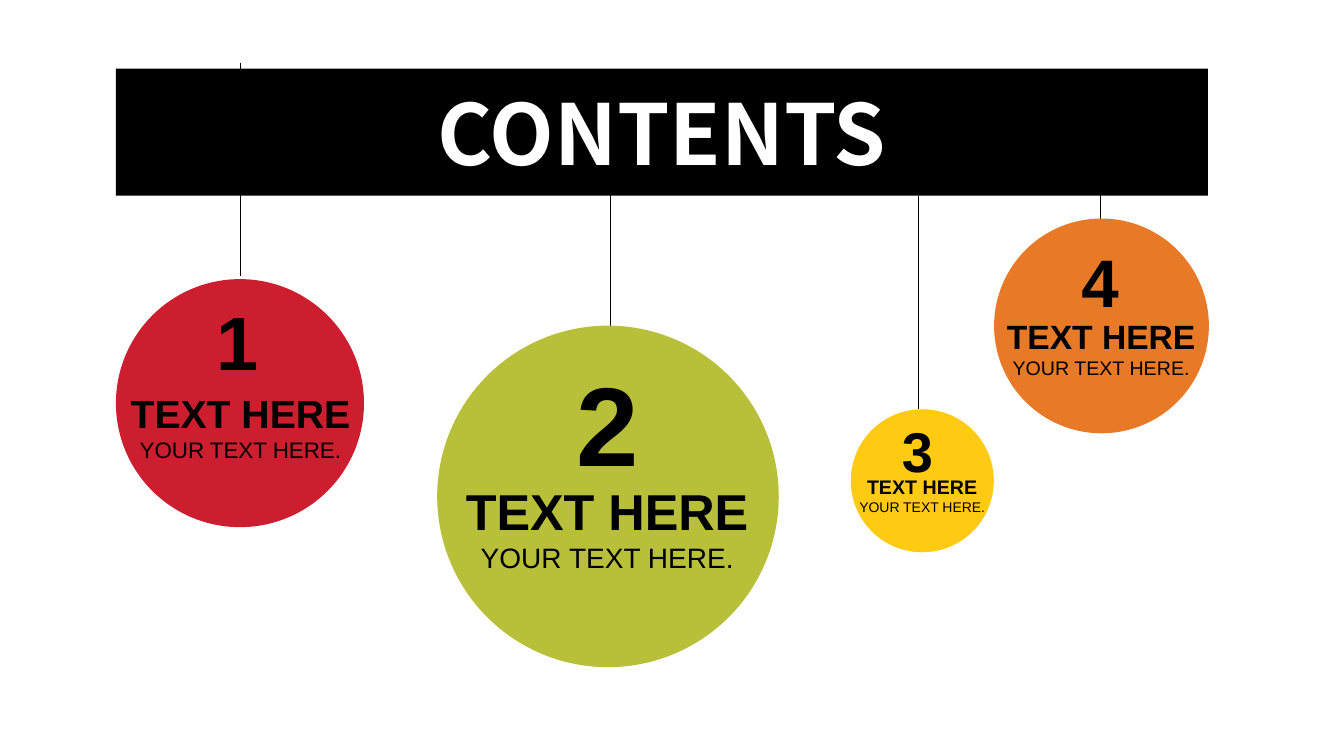
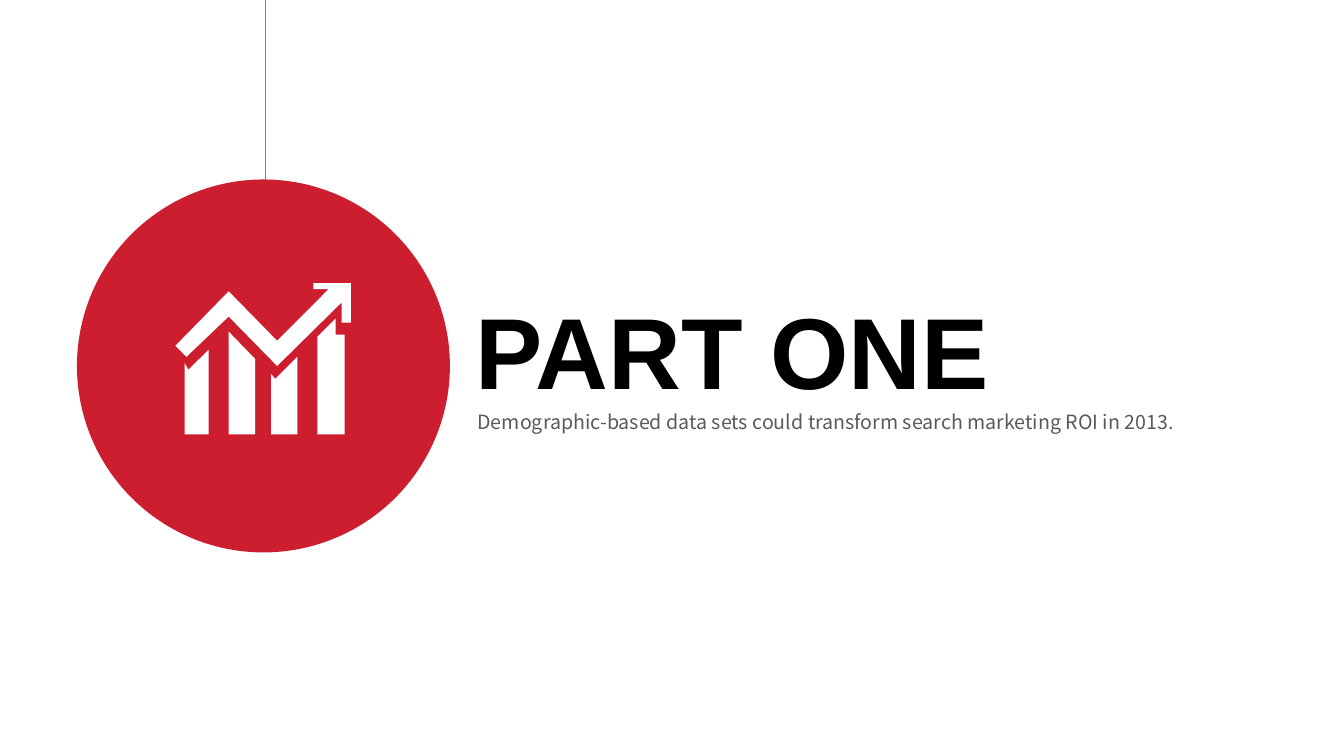
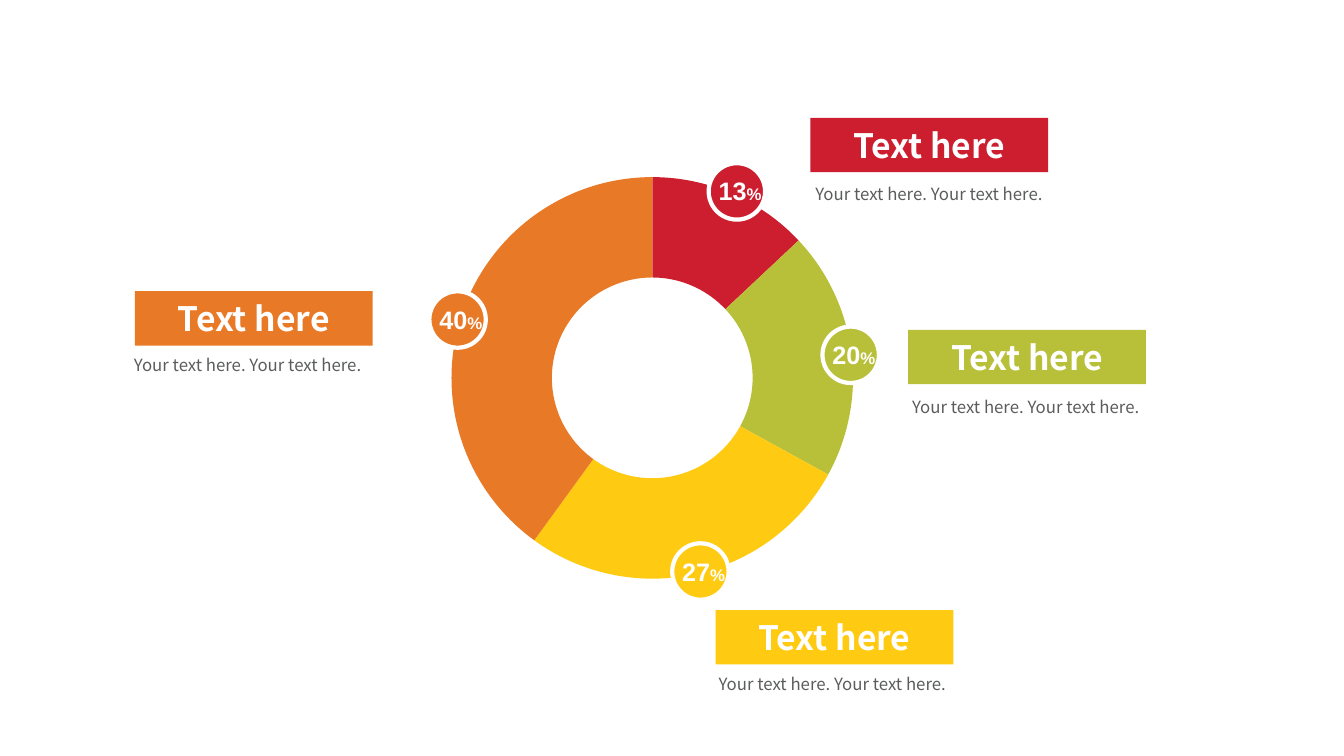
from collections import namedtuple
from dataclasses import dataclass

from lxml.etree import SubElement
from pptx import Presentation
from pptx.chart.data import CategoryChartData
from pptx.dml.color import RGBColor
from pptx.enum.chart import XL_CHART_TYPE
from pptx.enum.shapes import MSO_CONNECTOR, MSO_SHAPE
from pptx.enum.text import MSO_ANCHOR, MSO_AUTO_SIZE, PP_ALIGN
from pptx.oxml.ns import qn
from pptx.util import Pt

Style = namedtuple("Style", "font size color bold")


@dataclass(frozen=True)
class Theme:
    latin: str = "Arial"
    sans: str = "Noto Sans CJK SC"
    black: RGBColor = RGBColor(0x00, 0x00, 0x00)
    white: RGBColor = RGBColor(0xFF, 0xFF, 0xFF)
    cord_gray: RGBColor = RGBColor(0x80, 0x80, 0x80)
    subtitle_gray: RGBColor = RGBColor(0x59, 0x59, 0x59)
    caption_gray: RGBColor = RGBColor(0x5B, 0x5D, 0x5C)
    red: RGBColor = RGBColor(0xCD, 0x1E, 0x2F)
    green: RGBColor = RGBColor(0xB8, 0xC0, 0x39)
    yellow: RGBColor = RGBColor(0xFF, 0xCA, 0x12)
    orange: RGBColor = RGBColor(0xE8, 0x79, 0x27)
    contents_size: int = 60
    part_size: int = 72
    subtitle_size: int = 14
    banner_size: int = 24
    caption_size: int = 12
    percent_size: int = 18
    percent_sign_size: int = 12
    chart_size: int = 10
    # Number, heading and detail of each contents bubble
    bubble_sizes: tuple = ((54, 28, 16), (80, 36, 20), (40, 14, 10), (48, 24, 14))


theme = Theme()
palette = (theme.red, theme.green, theme.yellow, theme.orange)


def write(shape, paragraphs, align=PP_ALIGN.LEFT, anchor=MSO_ANCHOR.TOP, wrap=True):
    """Fill a shape with paragraphs, each a list of (text, Style) runs."""
    frame = shape.text_frame
    frame.word_wrap = wrap
    frame.auto_size = MSO_AUTO_SIZE.NONE
    frame.vertical_anchor = anchor
    for index, runs in enumerate(paragraphs):
        paragraph = frame.add_paragraph() if index else frame.paragraphs[0]
        paragraph.alignment = align
        for text, style in runs:
            run = paragraph.add_run()
            run.text = text
            run.font.name = style.font
            run.font.size = Pt(style.size)
            run.font.bold = style.bold
            run.font.color.rgb = style.color


def paint(shape, color, outline=None):
    """Give a shape a flat fill, no shadow and an optional outline colour."""
    shape.shadow.inherit = False
    shape.fill.solid()
    shape.fill.fore_color.rgb = color
    if outline is None:
        shape.line.fill.background()
    else:
        shape.line.color.rgb = outline
        shape.line.width = Pt(3)


prs = Presentation()
prs.slide_width, prs.slide_height = Pt(960), Pt(540)
title_only, blank = prs.slide_layouts[5], prs.slide_layouts[6]
contents = prs.slides.add_slide(title_only)
part = prs.slides.add_slide(title_only)
shares = prs.slides.add_slide(blank)

# Cords that the circles hang from
cord_length = 152.7
cords = [(contents, x, top, cord_length, theme.black)
         for x, top in ((172, 44.7), (436.3, 108), (655.9, 139.7), (786.2, 63.4))]
cords.append((part, 189.5, 0, 128.2, theme.cord_gray))
for slide, x, top, length, color in cords:
    cord = slide.shapes.add_connector(
        MSO_CONNECTOR.STRAIGHT, Pt(x), Pt(top), Pt(x), Pt(top + length))
    cord.line.color.rgb = color
    cord.line.width = Pt(0.75)
    SubElement(cord.element.spPr, qn("a:effectLst"))

# Contents: circle (left, top, diameter), number (left, top), label (left, top, width)
bubbles = (
    ((82.8, 199.4, 177.2), (147.6, 207.4), (67, 274.3, 209.5)),
    ((312.3, 232.6, 244), (404.6, 249.8), (307.4, 339.1, 252.7)),
    ((607.7, 292.3, 102.2), (637.2, 293.8), (595.4, 335.5, 126.7)),
    ((710.1, 156.1, 153.4), (765.4, 167.8), (660.2, 221.8, 252.7)),
)
for number, (bubble, color, sizes) in enumerate(zip(bubbles, palette, theme.bubble_sizes), 1):
    (left, top, diameter), (number_left, number_top), (label_left, label_top, label_width) = bubble
    number_size, heading_size, detail_size = sizes
    circle = contents.shapes.add_shape(
        MSO_SHAPE.OVAL, Pt(left), Pt(top), Pt(diameter), Pt(diameter))
    paint(circle, color)
    label = contents.shapes.add_textbox(
        Pt(label_left), Pt(label_top), Pt(label_width),
        Pt((heading_size + detail_size) * 1.2 + 7.2))
    write(label, [
        [("TEXT HERE", Style(theme.latin, heading_size, theme.black, True))],
        [("YOUR TEXT HERE.", Style(theme.latin, detail_size, theme.black, False))],
    ], PP_ALIGN.CENTER)
    digit = contents.shapes.add_textbox(
        Pt(number_left), Pt(number_top),
        Pt(number_size * 0.56 + 14.4), Pt(number_size * 1.2 + 7.2))
    write(digit, [[(str(number), Style(theme.latin, number_size, theme.black, True))]],
          wrap=False)

heading = contents.shapes.title
heading.left, heading.top, heading.width, heading.height = Pt(82.8), Pt(49), Pt(780), Pt(90.7)
heading.fill.solid()
heading.fill.fore_color.rgb = theme.black
write(heading, [[("CONTENTS", Style(theme.sans, theme.contents_size, theme.white, True))]],
      PP_ALIGN.CENTER, MSO_ANCHOR.MIDDLE)
contents.shapes.element.append(heading.element)  # the band covers the cords

# Part one
disc = part.shapes.add_shape(MSO_SHAPE.OVAL, Pt(55), Pt(128.2), Pt(266.4), Pt(266.4))
paint(disc, theme.red)

part_title = part.shapes.title
part_title.left, part_title.top = Pt(332.6), Pt(202.3)
part_title.width, part_title.height = Pt(453.6), Pt(94.3)
write(part_title, [[("PART ONE", Style(theme.latin, theme.part_size, theme.black, True))]])

subtitle = part.shapes.add_textbox(Pt(334), Pt(289.4), Pt(620), Pt(24.5))
write(subtitle, [[(
    "Demographic-based data sets could transform search marketing ROI in 2013.",
    Style(theme.sans, theme.subtitle_size, theme.subtitle_gray, False))]], PP_ALIGN.JUSTIFY)

base = 310.3
bars = [
    [(131.8, 259.2), (131.8, base), (149, base), (149, 249.8), (134.6, 264.2)],
    [(163.4, 236.9), (163.4, base), (182.2, base), (182.2, 256.3)],
    [(193.7, 267.1), (193.7, base), (212.4, base), (212.4, 254.9), (196.6, 270.7)],
    [(239.8, 227.5), (226.8, 240.5), (226.8, base), (246.2, base), (246.2, 239), (239.8, 239)],
]
trend_arrow = [
    (223.9, 202.3), (223.9, 206.6), (234.7, 206.6), (198, 243.4), (163.4, 208.1),
    (125.3, 247), (133.2, 254.9), (163.4, 226.1), (198, 261.4), (244.1, 216),
    (244.1, 230.4), (250.6, 230.4), (250.6, 202.3),
]
growth_icon = part.shapes.add_group_shape()
for outline in bars + [trend_arrow]:
    start, *corners = [(Pt(x), Pt(y)) for x, y in outline]
    builder = growth_icon.shapes.build_freeform(*start)
    builder.add_line_segments(corners, close=True)
    paint(builder.convert_to_shape(), theme.white)

# Shares
percentages = (13, 20, 27, 40)
share_data = CategoryChartData()
share_data.categories = ["1", "2", "3", "4"]
share_data.add_series("Series 1", percentages)
ring = shares.shapes.add_chart(
    XL_CHART_TYPE.DOUGHNUT, Pt(236.2), Pt(116.6), Pt(459.4), Pt(306.7), share_data).chart
ring.has_title = False
ring.has_legend = False
ring.font.name = theme.latin
ring.font.size = Pt(theme.chart_size)
ring.font.color.rgb = theme.black
ring_plot = ring.plots[0]
ring_plot.vary_by_categories = True
ring.element.find(".//" + qn("c:holeSize")).set("val", "67")
for index, color in enumerate(palette):
    segment = ring_plot.series[0].points[index].format
    segment.fill.solid()
    segment.fill.fore_color.rgb = color
    segment.line.fill.background()

# Left and top of each badge, banner and caption
callouts = (
    ((506.2, 116.6), (578.9, 84.2), (575.3, 127.4)),
    ((587.5, 233.3), (648.7, 235.6), (644.4, 280.1)),
    ((480.2, 388.1), (511.2, 435.8), (506.2, 477.4)),
    ((306.7, 208.1), (96.3, 208), (88.6, 249.8)),
)
percent_style = Style(theme.latin, theme.percent_size, theme.white, True)
sign_style = percent_style._replace(size=theme.percent_sign_size)
banner_style = Style(theme.sans, theme.banner_size, theme.white, True)
caption_style = Style(theme.sans, theme.caption_size, theme.caption_gray, False)
for percentage, color, (badge_at, banner_at, caption_at) in zip(percentages, palette, callouts):
    left, top = badge_at
    badge = shares.shapes.add_group_shape().shapes
    dot = badge.add_shape(MSO_SHAPE.OVAL, Pt(left), Pt(top), Pt(40.3), Pt(40.3))
    paint(dot, color, theme.white)
    value = badge.add_textbox(Pt(left), Pt(top + 5.4), Pt(51.1), Pt(28.8))
    write(value, [[(str(percentage), percent_style), ("%", sign_style)]])

    left, top = banner_at
    callout = shares.shapes.add_group_shape().shapes
    banner = callout.add_shape(MSO_SHAPE.RECTANGLE, Pt(left), Pt(top), Pt(169.9), Pt(38.9))
    paint(banner, color)
    write(banner, [[("Text here", banner_style)]], PP_ALIGN.CENTER, MSO_ANCHOR.MIDDLE)

    left, top = caption_at
    caption = callout.add_textbox(Pt(left), Pt(top), Pt(199.4), Pt(21.6))
    write(caption, [[("Your text here. Your text here.", caption_style)]])

prs.save("out.pptx")
